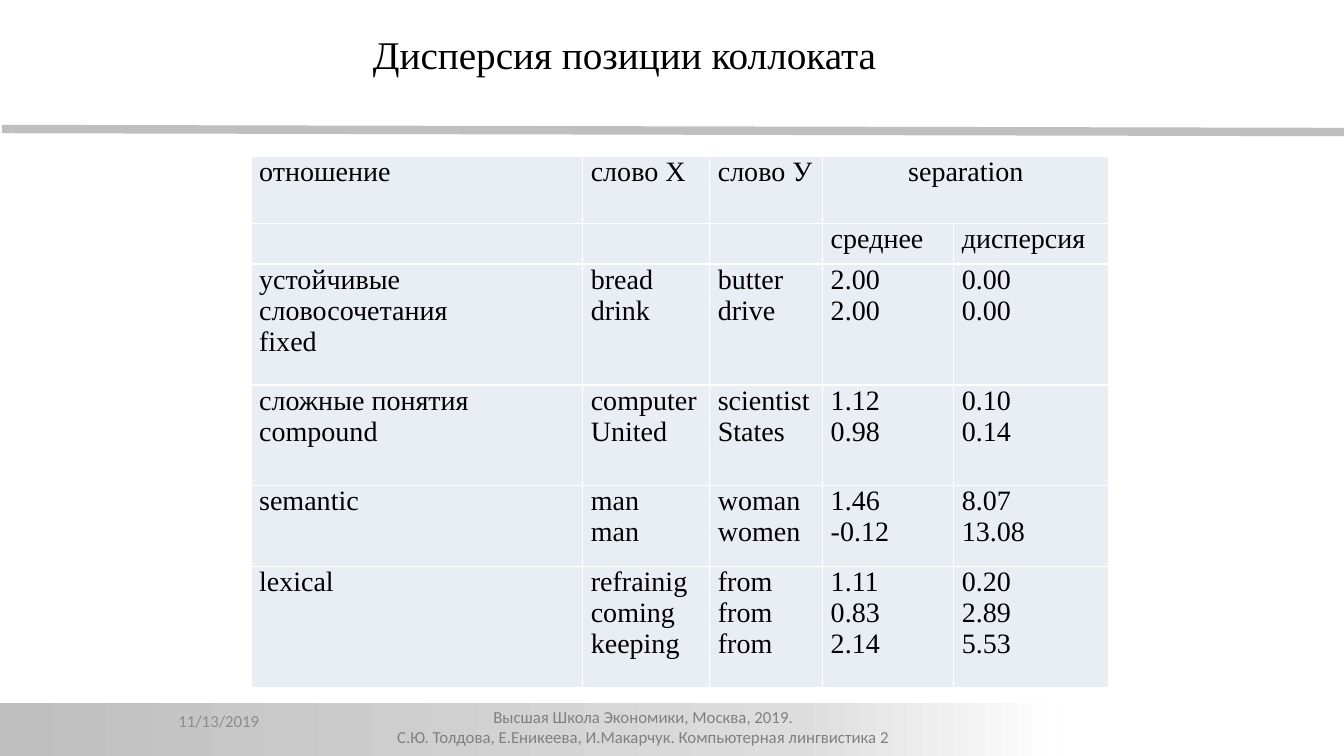
import copy

import pptx
import pptx.dml.color
import pptx.enum.shapes
import pptx.enum.text
import pptx.oxml
import pptx.oxml.ns
import pptx.util
from pptx.util import Inches

COLORS = {
    "rule": "BFBFBF",
    "band_middle": "DDDDDD",
    "white": "FFFFFF",
    "footer": "808080",
    "date": "8C8C8C",
    "text": "000000",
    "cell": "E9EDF4",
}
SERIF = "Times New Roman"
SANS = "Calibri"
CENTER = pptx.enum.text.PP_ALIGN.CENTER

COLUMN_WIDTHS = [3.29, 1.26, 1.12, 1.3, 1.54]
ROW_HEIGHTS = [0.67, 0.4, 1.2, 1, 0.8, 1.2]
# Each line within a cell is a paragraph of its own.
ROWS = [
    ["отношение", "слово Х", "слово У", "separation", ""],
    ["", "", "", "среднее", "дисперсия"],
    ["устойчивые словосочетания\nfixed", "bread\ndrink", "butter\ndrive",
     "2.00\n2.00", "0.00\n0.00"],
    ["сложные понятия\ncompound", "computer\nUnited", "scientist\nStates",
     "1.12\n0.98", "0.10\n0.14"],
    ["semantic", "man\nman", "woman\nwomen", "1.46\n-0.12", "8.07\n13.08"],
    ["lexical", "refrainig\ncoming\nkeeping", "from\nfrom\nfrom",
     "1.11\n0.83\n2.14", "0.20\n2.89\n5.53"],
]


def rgb(name):
    return pptx.dml.color.RGBColor.from_string(COLORS[name])


def write(frame, text, font, size, color, align=None):
    """Fill a text frame with one paragraph per line of text."""
    for index, line in enumerate(text.split("\n")):
        para = frame.paragraphs[0] if index == 0 else frame.add_paragraph()
        para.alignment = align
        span = para.add_run()
        span.text = line
        span.font.name = font
        span.font.size = pptx.util.Pt(size)
        span.font.color.rgb = rgb(color)


def add_text(page, place, text, font, size, color, align=None, anchor=None):
    box = page.shapes.add_textbox(*map(Inches, place))
    box.text_frame.word_wrap = True
    box.text_frame.vertical_anchor = anchor
    write(box.text_frame, text, font, size, color, align)


def add_rule(page):
    rule = page.shapes.add_connector(
        pptx.enum.shapes.MSO_CONNECTOR.STRAIGHT,
        Inches(0.02), Inches(1.28), Inches(13.35), Inches(1.31))
    rule.line.color.rgb = rgb("rule")
    rule.line.width = pptx.util.Pt(6)
    rule._element.spPr.append(pptx.oxml.parse_xml(
        f'<a:effectLst {pptx.oxml.ns.nsdecls("a")}/>'))


def add_footer_band(page):
    band = page.shapes.add_shape(
        pptx.enum.shapes.MSO_SHAPE.RECTANGLE,
        Inches(-0.01), Inches(6.97), Inches(10.56), Inches(0.57))
    band.shadow.inherit = False
    band.line.fill.background()
    band.fill.gradient()
    band.fill.gradient_angle = 0
    stop_list = band._element.spPr.find(".//" + pptx.oxml.ns.qn("a:gsLst"))
    stop_list.append(copy.deepcopy(stop_list[-1]))
    stops = [(0, "rule"), (0.75, "band_middle"), (1, "white")]
    for stop, (position, color) in zip(band.fill.gradient_stops, stops):
        stop.position = position
        stop.color.rgb = rgb(color)


def style_cell(cell):
    cell.margin_left = cell.margin_right = Inches(0.08)
    cell.margin_top = cell.margin_bottom = 0
    properties = cell._tc.get_or_add_tcPr()
    for side in "LRTB":
        properties.append(pptx.oxml.parse_xml(
            f'<a:ln{side} {pptx.oxml.ns.nsdecls("a")} w="12700"><a:solidFill>'
            f'<a:srgbClr val="{COLORS["white"]}"/></a:solidFill></a:ln{side}>'))
    cell.fill.solid()
    cell.fill.fore_color.rgb = rgb("cell")


def add_collocation_table(page):
    table = page.shapes.add_table(
        len(ROWS), len(COLUMN_WIDTHS), Inches(2.49), Inches(1.55),
        Inches(sum(COLUMN_WIDTHS)), Inches(sum(ROW_HEIGHTS))).table
    table.first_row = table.horz_banding = False
    for column, width in zip(table.columns, COLUMN_WIDTHS):
        column.width = Inches(width)
    for row, height, texts in zip(table.rows, ROW_HEIGHTS, ROWS):
        row.height = Inches(height)
        for cell, text in zip(row.cells, texts):
            style_cell(cell)
            if text:
                align = CENTER if text == "separation" else None
                write(cell.text_frame, text, SERIF, 20, "text", align)
    table.cell(0, 3).merge(table.cell(0, 4))


def main():
    deck = pptx.Presentation()
    deck.slide_width = Inches(13.33)
    deck.slide_height = Inches(7.5)
    page = deck.slides.add_slide(deck.slide_layouts[6])
    add_rule(page)
    add_footer_band(page)
    add_text(page, (2.54, 6.96, 7.68, 0.45),
             "Высшая Школа Экономики, Москва, 2019.\n"
             "С.Ю. Толдова, Е.Еникеева, И.Макарчук. Компьютерная лингвистика 2",
             SANS, 12, "footer", CENTER)
    add_collocation_table(page)
    add_text(page, (1.67, 6.95, 2.33, 0.4), "11/13/2019", SANS, 12, "date",
             anchor=pptx.enum.text.MSO_ANCHOR.MIDDLE)
    add_text(page, (3.6, 0.25, 7.7, 0.57), "Дисперсия позиции коллоката",
             SERIF, 28, "text")
    deck.save("out.pptx")


if __name__ == "__main__":
    main()
